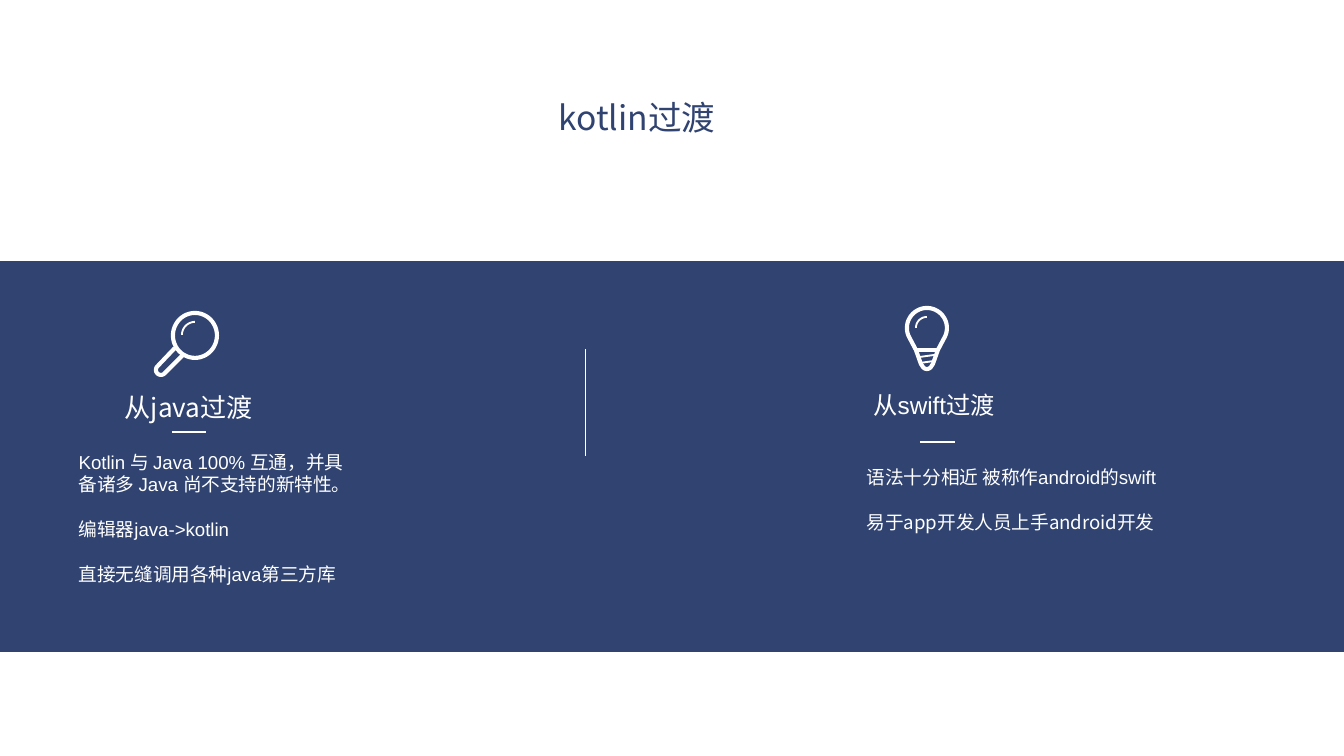
from math import cos, radians, sin

from lxml import etree
from pptx import Presentation
from pptx.dml.color import RGBColor
from pptx.enum.shapes import MSO_CONNECTOR, MSO_SHAPE
from pptx.enum.text import PP_ALIGN
from pptx.oxml.ns import qn
from pptx.util import Emu, Pt

PX = 914400 / 134.4
NAVY = RGBColor(0x30, 0x43, 0x71)
WHITE = RGBColor(0xFF, 0xFF, 0xFF)
RECT, OVAL = MSO_SHAPE.RECTANGLE, MSO_SHAPE.OVAL
STRAIGHT = MSO_CONNECTOR.STRAIGHT
LEFT, CENTER = PP_ALIGN.LEFT, PP_ALIGN.CENTER
CJK, LATIN = "Noto Sans CJK SC", "Arial"
ICON_LINE, GLARE_LINE = 2.2, 1

JAVA_POINTS = [
    [("Kotlin ", LATIN), ("与 ", CJK), ("Java 100% ", LATIN), ("互通，并具备诸多 ", CJK),
     ("Java ", LATIN), ("尚不支持的新特性。", CJK)],
    [("编辑器", CJK), ("java->kotlin", LATIN)],
    [("直接无缝调用各种", CJK), ("java", LATIN), ("第三方库", CJK)],
]
SWIFT_POINTS = [
    [("语法十分相近 被称作", CJK), ("android", LATIN), ("的", CJK), ("swift", LATIN)],
    [("易于app开发人员上手android开发", CJK)],
]


def px(n):
    return Emu(round(n * PX))


def add_text(s, box, paragraphs, size, color=WHITE, align=LEFT):
    """Each paragraph is a list of (text, font) runs."""
    tf = s.shapes.add_textbox(*map(px, box)).text_frame
    tf.word_wrap = True
    for side in ("left", "top", "right", "bottom"):
        setattr(tf, f"margin_{side}", Pt(3.6))
    for i, runs in enumerate(paragraphs):
        p = tf.add_paragraph() if i else tf.paragraphs[0]
        p.alignment = align
        if i:
            p.space_before = Pt(12)
        for text, font in runs:
            r = p.add_run()
            r.text = text
            for name, value in {"size": Pt(size), "name": font}.items():
                setattr(r.font, name, value)
            r.font.color.rgb = color
            etree.SubElement(r.font._element, qn("a:ea"), typeface=CJK)


def add_line(s, x1, y1, x2, y2, width):
    line = s.shapes.add_connector(STRAIGHT, *map(px, (x1, y1, x2, y2)))
    line.line.color.rgb = WHITE
    line.line.width = Pt(width)
    etree.SubElement(line._element.spPr, qn("a:effectLst"))


def outline(sp, width):
    sp.shadow.inherit = False
    sp.fill.background()
    sp.line.color.rgb = WHITE
    sp.line.width = Pt(width)


def add_outline(s, points, width, close=False):
    start, *rest = [(px(x), px(y)) for x, y in points]
    builder = s.shapes.build_freeform(*start)
    builder.add_line_segments(rest, close=close)
    outline(builder.convert_to_shape(), width)


def arc(cx, cy, radius, start, end):
    """Points every 5 degrees, clockwise from the right."""
    return [(cx + radius * cos(radians(a)), cy + radius * sin(radians(a)))
            for a in range(start, end + 1, 5)]


def add_magnifier(s):
    outline(s.shapes.add_shape(OVAL, *map(px, (173, 313, 44, 45))), ICON_LINE)
    add_outline(s, [(183, 355), *arc(161, 370, 5, 45, 225), (175, 348)], ICON_LINE)
    add_outline(s, arc(195, 335, 13, 180, 270), GLARE_LINE)


def add_bulb(s):
    base = [(938, 350), (933, 364), *arc(927, 364, 5, 30, 150), (921, 364), (916, 350)]
    add_outline(s, arc(927, 328, 20, 155, 385) + base, ICON_LINE, close=True)
    add_line(s, 916, 350, 938, 350, ICON_LINE)
    for y in (357, 363):
        add_line(s, 920, y, 934, y - 2, GLARE_LINE)
    add_outline(s, arc(927, 328, 11, 180, 270), GLARE_LINE)


def main():
    prs = Presentation()
    prs.slide_width, prs.slide_height = px(1344), px(756)
    s = prs.slides.add_slide(prs.slide_layouts[6])

    band = s.shapes.add_shape(RECT, *map(px, (0, 261, 1344, 391)))
    band.shadow.inherit = False
    band.fill.solid()
    band.fill.fore_color.rgb = NAVY
    band.line.fill.background()

    add_text(s, (552, 90, 172, 58), [[("kotlin过渡", CJK)]], 18, NAVY)
    add_line(s, 586, 349, 586, 456, 0.5)

    add_magnifier(s)
    add_text(s, (95, 385, 188, 48), [[("从java过渡", CJK)]], 14, align=CENTER)
    add_line(s, 172, 432, 206, 432, 1.5)
    add_text(s, (72, 444, 280, 206), JAVA_POINTS, 10)

    add_bulb(s)
    add_text(s, (840, 384, 188, 40), [[("从", CJK), ("swift", LATIN), ("过渡", CJK)]],
             13, align=CENTER)
    add_line(s, 920, 442, 955, 442, 1.5)
    add_text(s, (860, 459, 339, 74), SWIFT_POINTS, 10)

    prs.save("out.pptx")


if __name__ == "__main__":
    main()
